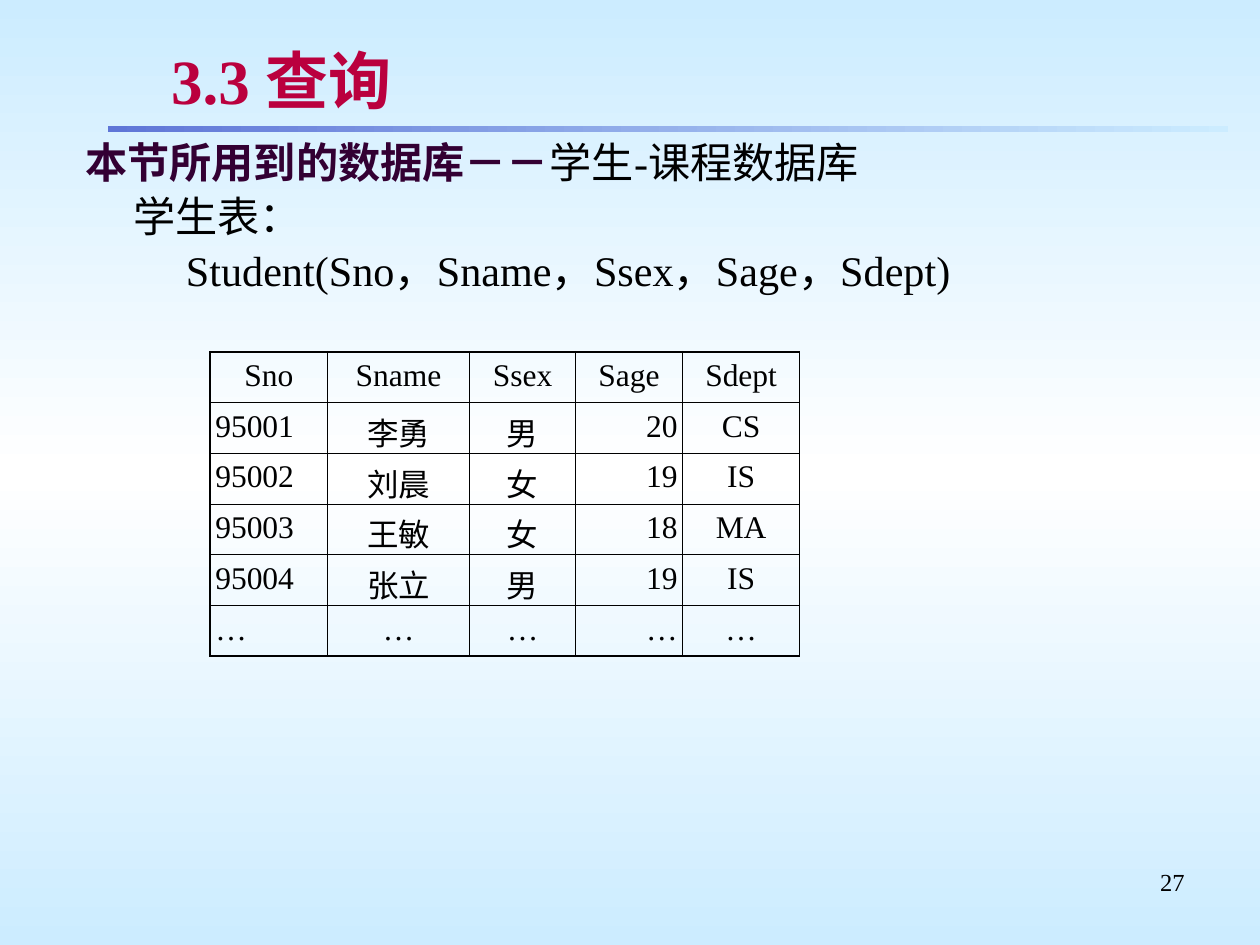
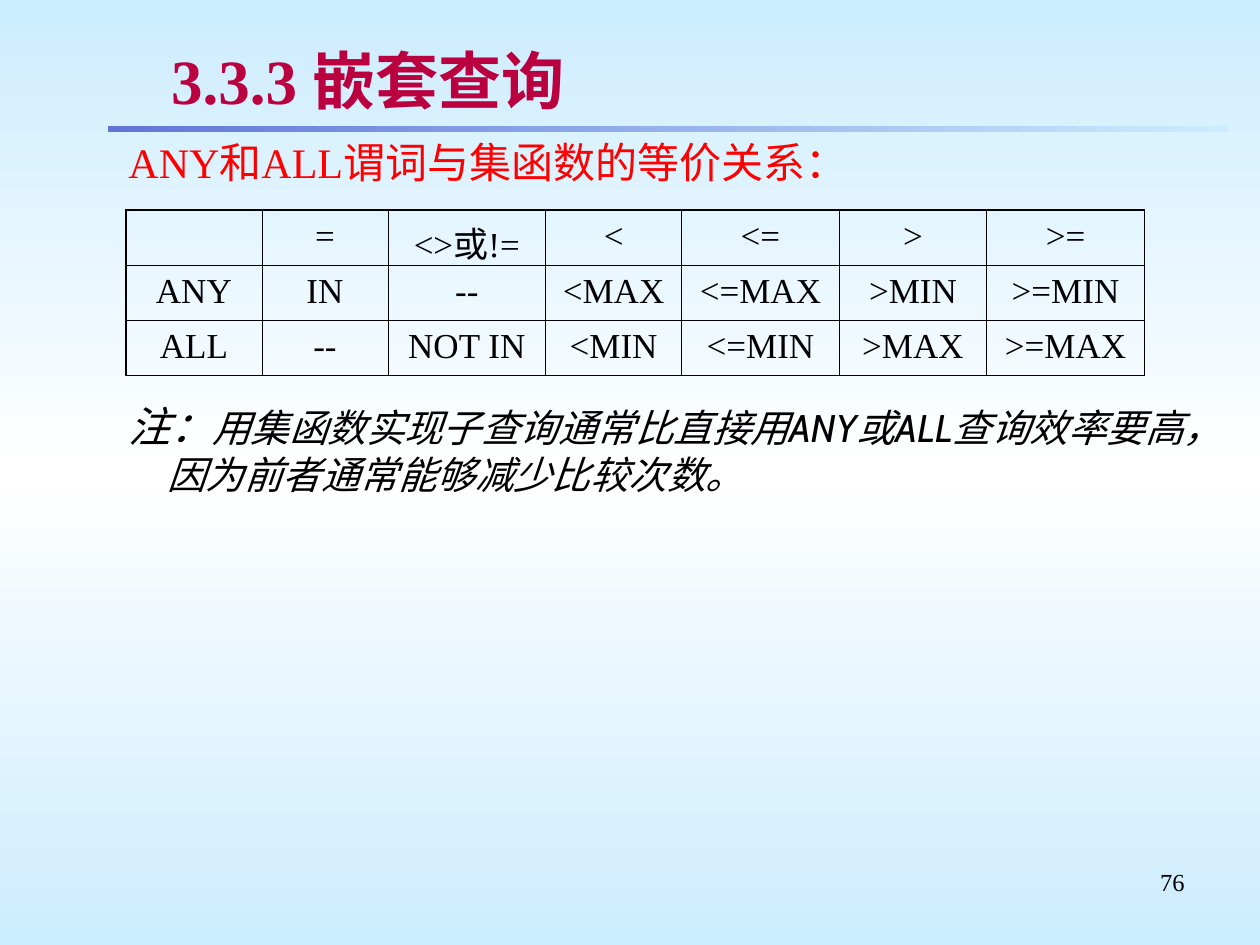
from lxml import etree
from pptx import Presentation
from pptx.dml.color import RGBColor
from pptx.enum.shapes import MSO_SHAPE
from pptx.enum.text import MSO_ANCHOR, PP_ALIGN
from pptx.oxml.ns import qn
from pptx.util import Cm, Pt

RECT = MSO_SHAPE.RECTANGLE
TOP, MIDDLE = MSO_ANCHOR.TOP, MSO_ANCHOR.MIDDLE
LEFT, RIGHT = PP_ALIGN.LEFT, PP_ALIGN.RIGHT
ALIGN = {"l": LEFT, "c": PP_ALIGN.CENTER, "r": RIGHT}

SERIF, SANS = "Times New Roman", "Cabin"
BLACK, RED, PLUM, WINE = "000000", "FF0000", "330033", "BA003E"
SKY, WHITE, BLUE, GREY = "CCECFF", "FFFFFF", "5F76D7", "C0C0C0"
THIN, THICK = 0.45, 1.08


def rgb(code):
    return RGBColor.from_string(code)


def add(parent, tag, **attrs):
    node = etree.SubElement(parent, qn(tag))
    for key, value in attrs.items():
        node.set(key, str(value))
    return node


def paint(node, code):
    add(add(node, "a:solidFill"), "a:srgbClr", val=code)


def blend(fill, owner, angle, *codes):
    fill.gradient()
    fill.gradient_angle = angle
    stops = next(owner.iter(qn("a:gsLst")))
    for stop in list(stops):
        stops.remove(stop)
    for i, code in enumerate(codes):
        stop = add(stops, "a:gs", pos=100000 * i // (len(codes) - 1))
        add(stop, "a:srgbClr", val=code)


def edge(props, side, width):
    line = add(props, "a:ln" + side, w=int(Pt(width)))
    paint(line, BLACK)


class Deck:
    def __init__(self):
        self.file = Presentation()
        self.file.slide_width, self.file.slide_height = Cm(25.4), Cm(19.05)
        self.slide = None

    def page(self, title, number):
        self.slide = self.file.slides.add_slide(self.file.slide_layouts[6])
        blend(self.slide.background.fill, self.slide._element, 90, SKY, WHITE, SKY)
        self.bar(2.18, 2.54, 22.58, 0.13)
        frame = self.box(18.21, 17.35, 5.92, 1.32)
        self.para(frame, number, size=14, align=RIGHT)
        frame = self.box(3.2, 0.74, 20.93, 1.7, MIDDLE)
        head = self.para(frame, title, size=36, color=WINE, bold=True)
        self.shade(head.runs[0])

    def bar(self, *place):
        shape = self.slide.shapes.add_shape(RECT, *map(Cm, place))
        shape.shadow.inherit = False
        shape.line.fill.background()
        blend(shape.fill, shape._element, 0, BLUE, SKY)

    def shade(self, run):
        effects = add(run._r.get_or_add_rPr(), "a:effectLst")
        cast = add(effects, "a:outerShdw", dist=int(Pt(2)), dir=2700000)
        add(cast, "a:srgbClr", val=GREY)

    def box(self, left, top, width, height, anchor=TOP):
        place = map(Cm, (left, top, width, height))
        frame = self.slide.shapes.add_textbox(*place).text_frame
        frame.word_wrap = True
        frame.vertical_anchor = anchor
        return frame

    def font(self, font, size=None, color=None, bold=None, italic=None, name=None):
        if size:
            font.size = Pt(size)
        if color:
            font.color.rgb = rgb(color)
        if name:
            font.name = name
        font.bold, font.italic = bold, italic

    def para(self, frame, *parts, size=24, color=BLACK, bold=None, italic=None,
             name=SERIF, align=LEFT, margin=0, hang=0, gap=0, pitch=None):
        para = frame.paragraphs[0]
        if para.runs:
            para = frame.add_paragraph()
            para.space_before = Pt(gap)
        para.alignment = align
        if pitch:
            para.line_spacing = pitch
        if margin:
            props = para._p.get_or_add_pPr()
            props.set("marL", str(Cm(margin)))
            props.set("indent", str(Cm(-hang)))
        self.font(para.font, size, color, bold, italic, name)
        for part in parts:
            text, style = (part, {}) if isinstance(part, str) else part
            run = para.add_run()
            run.text = text
            if style:
                self.font(run.font, **style)
        return para

    def table(self, left, top, widths, height, rows, size, aligns, pad):
        count = len(rows)
        place = map(Cm, (left, top, sum(widths), height * count))
        table = self.slide.shapes.add_table(count, len(widths), *place).table
        table.first_row = table.horz_banding = False
        for col, width in zip(table.columns, widths):
            col.width = Cm(width)
        for r, row in enumerate(rows):
            table.rows[r].height = Cm(height)
            for c, text in enumerate(row):
                cell = table.cell(r, c)
                cell.margin_left = cell.margin_right = Cm(pad)
                cell.margin_top = cell.margin_bottom = Cm(0.13)
                outer = {"L": c == 0, "R": c == len(widths) - 1,
                         "T": r == 0, "B": r == count - 1}
                for side, rim in outer.items():
                    edge(cell._tc.get_or_add_tcPr(), side, THICK if rim else THIN)
                cell.fill.background()
                if text:
                    align = ALIGN[aligns[c] if r else "c"]
                    self.para(cell.text_frame, text, size=size, align=align)


def query(deck):
    deck.page("3.3 查询", "27")
    frame = deck.box(1.47, 2.74, 23.06, 3.81)
    style = dict(size=24.1, gap=4.9, pitch=0.9)
    lead = ("本节所用到的数据库－－", dict(color=PLUM, bold=True))
    deck.para(frame, lead, "学生-课程数据库", margin=0.97, hang=0.97, **style)
    deck.para(frame, "学生表：", margin=0.97, **style)
    deck.para(frame, "Student(Sno，Sname，Ssex，Sage，Sdept)", margin=2.03, **style)
    rows = [
        ("Sno", "Sname", "Ssex", "Sage", "Sdept"),
        ("95001", "李勇", "男", "20", "CS"),
        ("95002", "刘晨", "女", "19", "IS"),
        ("95003", "王敏", "女", "18", "MA"),
        ("95004", "张立", "男", "19", "IS"),
        ("…",) * 5,
    ]
    widths = (2.36, 2.87, 2.13, 2.16, 2.36)
    deck.table(4.24, 7.09, widths, 0.98, rows, 18, "lccrc", 0.1)


def nested(deck):
    deck.page("3.3.3 嵌套查询", "76")
    indent = dict(margin=2.06, hang=0.79)
    frame = deck.box(1.07, 2.74, 23.5, 1.52)
    deck.para(frame, "ANY和ALL谓词与集函数的等价关系：", color=RED, pitch=0.9, **indent)
    frame = deck.box(1.07, 7.95, 23.29, 9.4)
    note = "用集函数实现子查询通常比直接用ANY或ALL查询效率要高，因为前者通常能够减少比较次数。"
    deck.para(frame, ("注：", dict(size=24, italic=True)), note,
              size=22, italic=True, name=SANS, **indent)
    rows = [
        ("", "=", "<>或!=", "<", "<=", ">", ">="),
        ("ANY", "IN", "--", "<MAX", "<=MAX", ">MIN", ">=MIN"),
        ("ALL", "--", "NOT IN", "<MIN", "<=MIN", ">MAX", ">=MAX"),
    ]
    widths = (2.74, 2.54, 3.18, 2.74, 3.18, 2.97, 3.18)
    deck.table(2.54, 4.24, widths, 1.11, rows, 20, "c" * 7, 0.25)


def main():
    deck = Deck()
    query(deck)
    nested(deck)
    deck.file.save("out.pptx")


if __name__ == "__main__":
    main()
